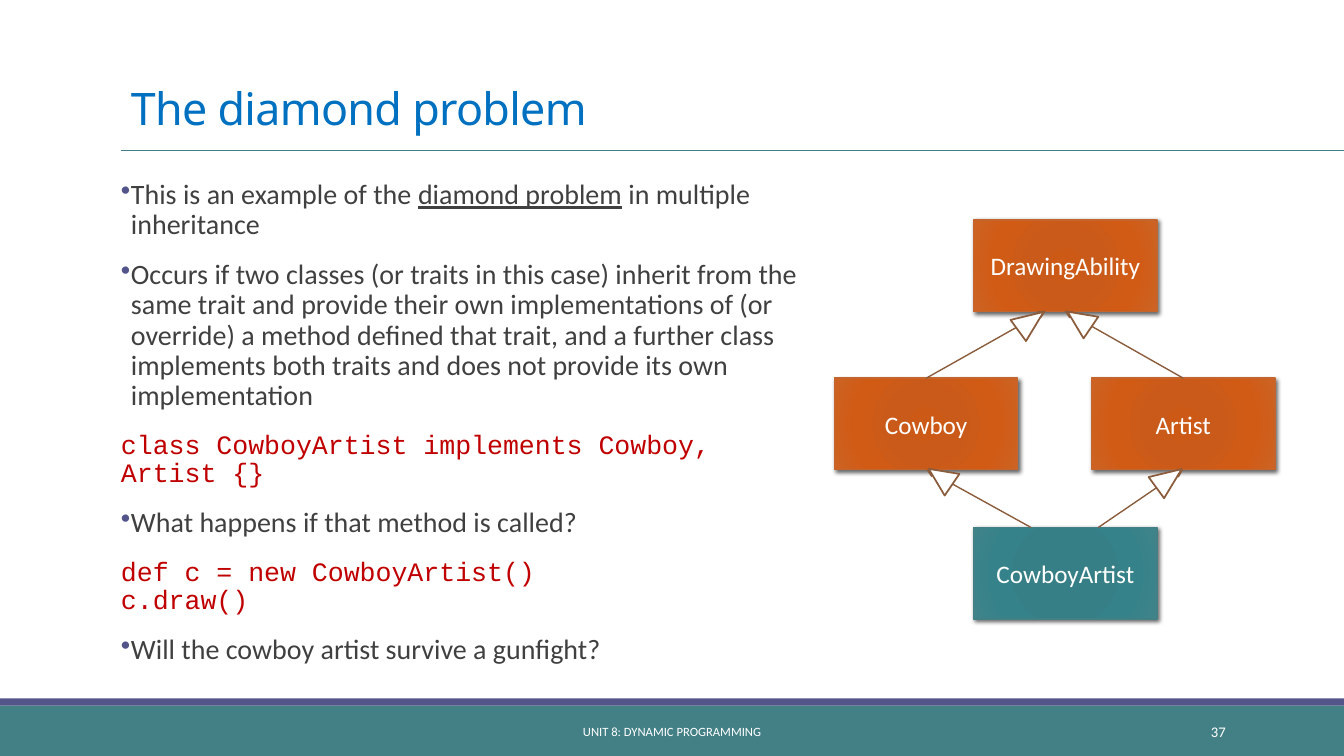
from pptx import Presentation
from pptx.dml.color import RGBColor
from pptx.enum.shapes import MSO_CONNECTOR, MSO_SHAPE
from pptx.enum.text import MSO_ANCHOR, PP_ALIGN
from pptx.oxml import parse_xml
from pptx.oxml.ns import nsdecls, qn
from pptx.util import Cm, Pt

RECTANGLE, TRIANGLE = MSO_SHAPE.RECTANGLE, MSO_SHAPE.ISOSCELES_TRIANGLE
STRAIGHT = MSO_CONNECTOR.STRAIGHT
TOP, MIDDLE, BOTTOM = MSO_ANCHOR.TOP, MSO_ANCHOR.MIDDLE, MSO_ANCHOR.BOTTOM
LEFT, CENTER, RIGHT = PP_ALIGN.LEFT, PP_ALIGN.CENTER, PP_ALIGN.RIGHT

COLOURS = {
    "teal": "438086", "purple": "53548A", "blue": "0070C0", "grey": "404040",
    "red": "C00000", "white": "FFFFFF", "brown": "8B5D3D", "rust": "C4652D",
    "black": "000000",
}
GRADIENTS = {
    "rust": ["CC5915", "CA5A19", "D15B15", "CC6325"],
    "teal": ["357F86", "377F86", "36828A", "408389"],
}
STOPS = [0, 34, 70, 100]

TITLE = {"size": Pt(32), "name": "Noto Sans", "colour": "blue"}
PROSE = {"size": Pt(20), "name": "Calibri", "colour": "grey"}
TERM = {**PROSE, "underline": True}
CODE = {"size": Pt(19), "name": "Courier New", "colour": "red"}
FOOTER = {"size": Pt(9), "name": "Calibri", "colour": "white"}
NUMBER = {**FOOTER, "size": Pt(10.5)}
LABEL = {**FOOTER, "size": Pt(18)}

BODY = [
    [("This is an example of the ", PROSE), ("diamond problem", TERM),
     (" in multiple inheritance", PROSE)],
    [("Occurs if two classes (or traits in this case) inherit from the same trait "
      "and provide their own implementations of (or override) a method defined that "
      "trait, and a further class implements both traits and does not provide its "
      "own implementation", PROSE)],
    [("class CowboyArtist implements Cowboy, Artist {}", CODE)],
    [("What happens if that method is called?", PROSE)],
    [("def c = new CowboyArtist()\nc.draw()", CODE)],
    [("Will the cowboy artist survive a gunfight?", PROSE)],
]
NODE_SIZE = (4.62, 2.31)
NODES = [
    ("DrawingAbility", 3.51, 0, "rust"),
    ("Cowboy", 0, 3.99, "rust"),
    ("Artist", 6.48, 3.99, "rust"),
    ("CowboyArtist", 3.51, 7.75, "teal"),
]
LINKS = [
    ((2.31, 3.99), (5.33, 2.29), (4.62, 2.16)),
    ((8.79, 3.99), (5.79, 2.29), (5.84, 2.16)),
    ((4.95, 7.75), (2.31, 6.29), (2.34, 6.12)),
    ((6.65, 7.75), (8.79, 6.29), (8.1, 6.12)),
]


def rgb(name):
    return RGBColor.from_string(COLOURS[name])


def set_all(target, values):
    for name, value in values.items():
        setattr(target, name, value)


def add_span(para, text, style):
    for index, line in enumerate(text.split("\n")):
        if index:
            para.add_line_break()
        span = para.add_run()
        span.text = line
        set_all(span.font, {key: value for key, value in style.items() if key != "colour"})
        span.font.color.rgb = rgb(style["colour"])
    return span


def add_text(page, box, text, style, anchor, align):
    frame = page.shapes.add_textbox(*map(Cm, box)).text_frame
    set_all(frame, {"word_wrap": True, "vertical_anchor": anchor})
    para = frame.paragraphs[0]
    para.alignment = align
    return para, add_span(para, text, style)


def add_solid(page, kind, box, fill):
    shape = page.shapes.add_shape(kind, *map(Cm, box))
    shape.shadow.inherit = False
    shape.fill.solid()
    shape.fill.fore_color.rgb = rgb(fill)
    shape.line.fill.background()
    return shape


def add_line(page, start, end, colour, width):
    line = page.shapes.add_connector(STRAIGHT, *map(Cm, start + end))
    line.line.color.rgb = rgb(colour)
    line.line.width = Pt(width)
    line._element.spPr.append(parse_xml(f'<a:effectLst {nsdecls("a")}/>'))
    return line


def add_footer(page, box):
    left, top, width, height = box
    strip = 0.18
    add_solid(page, RECTANGLE, (left, top + strip, width, height - strip), "teal")
    add_solid(page, RECTANGLE, (left, top, width, strip), "purple")
    add_text(page, (left + 10.24, top + 0.33, 13.39, 1.02),
             "UNIT 8: DYNAMIC PROGRAMMING", FOOTER, MIDDLE, CENTER)
    add_text(page, (left + 27.51, top + 0.33, 3.63, 1.02), "37", NUMBER, MIDDLE, RIGHT)


def add_title(page, box):
    left, top, width, height = box
    para, span = add_text(page, (left, top, 27.94, height - 0.25),
                          "The diamond problem", TITLE, BOTTOM, LEFT)
    para.line_spacing = 0.85
    span.font._element.set("spc", "-50")
    add_line(page, (left, top + height), (left + width, top + height), "teal", 0.5)


def add_bullet(para):
    properties = para._p.get_or_add_pPr()
    properties.set("marL", str(Cm(0.25)))
    properties.set("indent", str(-Cm(0.25)))
    properties.append(parse_xml(
        f'<a:buClr {nsdecls("a")}><a:srgbClr val="{COLOURS["purple"]}"/></a:buClr>'))
    properties.append(parse_xml(f'<a:buChar {nsdecls("a")} char="\u2022"/>'))


def add_body(page, box):
    frame = page.shapes.add_textbox(*map(Cm, box)).text_frame
    set_all(frame, {"word_wrap": True, "vertical_anchor": TOP,
                    "margin_left": 0, "margin_right": 0})
    for index, spans in enumerate(BODY):
        para = frame.add_paragraph() if index else frame.paragraphs[0]
        set_all(para, {"line_spacing": 0.9, "space_before": Pt(12), "space_after": Pt(2)})
        if spans[0][1] is not CODE:
            add_bullet(para)
        for text, style in spans:
            add_span(para, text, style)


def add_node(page, box, label, colour):
    node = add_solid(page, RECTANGLE, box, colour)
    node.line.color.rgb = rgb(colour)
    node.line.width = Pt(1)
    stops = "".join(f'<a:gs pos="{stop * 1000}"><a:srgbClr val="{shade}"/></a:gs>'
                    for stop, shade in zip(STOPS, GRADIENTS[colour]))
    properties = node._element.spPr
    properties.replace(properties.find(qn("a:solidFill")), parse_xml(
        f'<a:gradFill {nsdecls("a")}><a:gsLst>{stops}</a:gsLst><a:path path="circle">'
        '<a:fillToRect l="100000" t="100000" r="100000" b="100000"/></a:path></a:gradFill>'))
    properties.find(qn("a:effectLst")).append(parse_xml(
        f'<a:outerShdw {nsdecls("a")} blurRad="{Pt(3)}" dist="{Pt(2)}" dir="2700000">'
        f'<a:srgbClr val="{COLOURS["black"]}"><a:alpha val="60000"/></a:srgbClr>'
        '</a:outerShdw>'))
    node.text_frame.vertical_anchor = MIDDLE
    para = node.text_frame.paragraphs[0]
    para.alignment = CENTER
    add_span(para, label, LABEL)


def add_diagram(page, box):
    left, top = box[:2]

    def place(point):
        return left + point[0], top + point[1]

    for label, x, y, colour in NODES:
        add_node(page, place((x, y)) + NODE_SIZE, label, colour)
    for start, end, _ in LINKS:
        line = add_line(page, place(start), place(end), "brown", 1)
        line.line._get_or_add_ln().append(
            parse_xml(f'<a:tailEnd {nsdecls("a")} type="triangle"/>'))
    for start, end, corner in LINKS:
        height, angle = (0.79, 53.8) if end[0] > start[0] else (0.71, 304.2)
        head = add_solid(page, TRIANGLE, place(corner) + (0.66, height), "white")
        head.rotation = angle
        head.line.color.rgb = rgb("brown")
        head.line.width = Pt(1.25)


deck = Presentation()
deck.slide_width, deck.slide_height = Cm(33.87), Cm(19.05)
page = deck.slides.add_slide(deck.slide_layouts[6])
add_footer(page, (0, 17.6, 33.87, 1.45))
add_title(page, (3.05, 0.79, 30.82, 2.99))
add_body(page, (3.05, 4.42, 17.5, 12.57))
add_diagram(page, (21.03, 5.54, 11.1, 10.06))
deck.save("out.pptx")
